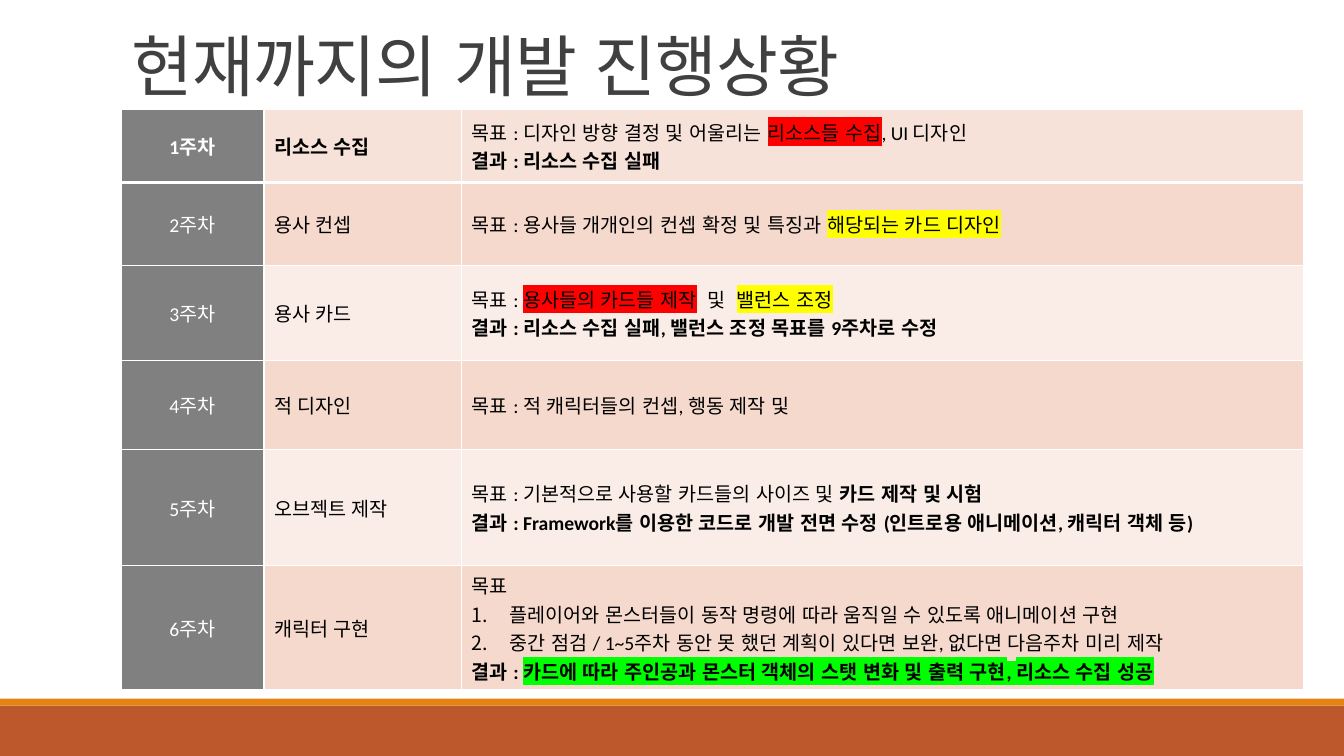
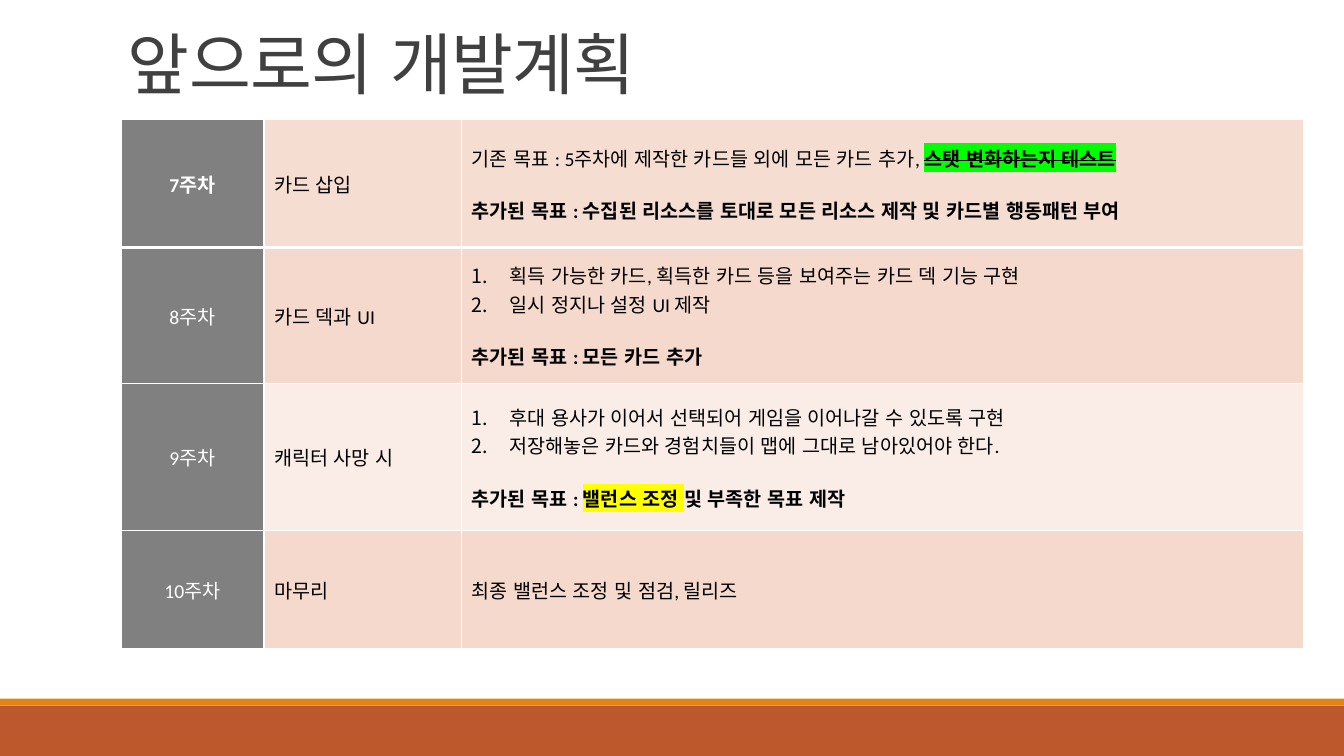
from lxml.etree import SubElement
from pptx import Presentation
from pptx.dml.color import RGBColor
from pptx.enum.lang import MSO_LANGUAGE_ID
from pptx.enum.shapes import MSO_SHAPE
from pptx.enum.text import MSO_ANCHOR, MSO_AUTO_SIZE, PP_ALIGN
from pptx.oxml.ns import qn
from pptx.util import Pt

COLORS = {
    "title": "404040", "text": "000000", "white": "FFFFFF", "week": "808080",
    "band": "BD582C", "stripe": "E48312", "dark_row": "F5D9CC", "light_row": "FAEDE7",
    "progress_top": "F7E2D9", "plan_top": "F5DDD2",
    "failed": "FF0000", "moved": "FFFF00", "done": "00FF00",
}
FONT = "Calibri"
COLUMN_WIDTHS = [102.2, 141.1, 601.3]
TABLE_LEFT = 86.4
NUMBER_INDENT = 27
PARAGRAPH_GAP = 17
BOLD = {"bold": True}
FAILED = {"highlight": "failed"}
MOVED = {"highlight": "moved"}

# Each row: height, week, topic, topic format, paragraphs.
# Each paragraph: kind ("plain", "number" or "apart"), then runs of text and format.
SLIDES = [
    {
        "title": "현재까지의 개발 진행상황", "title_at": (86.4, -36),
        "table_top": 77.8, "top_fill": "progress_top",
        "rows": [
            (52.6, "1주차", "리소스 수집", BOLD, [
                ("plain", [("목표 : 디자인 방향 결정 및 어울리는 ", {}),
                           ("리소스들 수집", FAILED), (", UI 디자인", {})]),
                ("plain", [("결과 : 리소스 수집 실패", BOLD)]),
            ]),
            (59, "2주차", "용사 컨셉", {}, [
                ("plain", [("목표 : 용사들 개개인의 컨셉 확정 및 특징과 ", {}),
                           ("해당되는 카드 디자인", MOVED)]),
            ]),
            (68.4, "3주차", "용사 카드", {}, [
                ("plain", [("목표 : ", {}), ("용사들의 카드들 제작", FAILED),
                           ("  및  ", {}), ("밸런스 조정", MOVED)]),
                ("plain", [("결과 : 리소스 수집 실패, 밸런스 조정 목표를 9주차로 수정", BOLD)]),
            ]),
            (63.4, "4주차", "적 디자인", {}, [
                ("plain", [("목표 : 적 캐릭터들의 컨셉, 행동 제작 및", {})]),
            ]),
            (82.8, "5주차", "오브젝트 제작", {}, [
                ("plain", [("목표 : 기본적으로 사용할 카드들의 사이즈 및 ", {}),
                           ("카드 제작 및 시험", BOLD)]),
                ("plain", [("결과 : Framework를 이용한 코드로 개발 전면 수정 "
                            "(인트로용 애니메이션, 캐릭터 객체 등)", BOLD)]),
            ]),
            (85.7, "6주차", "캐릭터 구현", {}, [
                ("plain", [("목표", {})]),
                ("number", [("플레이어와 몬스터들이 동작 명령에 따라 움직일 수 있도록 "
                             "애니메이션 구현", {})]),
                ("number", [("중간 점검 / 1~5주차 동안 못 했던 계획이 있다면 보완, "
                             "없다면 다음주차 미리 제작", {})]),
                ("plain", [("결과 : ", BOLD),
                           ("카드에 따라 주인공과 몬스터 객체의 스탯 변화 및 출력 구현, "
                            "리소스 수집 성공", {"bold": True, "highlight": "done"})]),
            ]),
        ],
    },
    {
        "title": "앞으로의 개발계획", "title_at": (84.2, -37.4),
        "table_top": 85.5, "top_fill": "plan_top",
        "rows": [
            (91.4, "7주차", "카드 삽입", {}, [
                ("plain", [("기존 목표 : 5주차에 제작한 카드들 외에 모든 카드 추가, ", {}),
                           ("스탯 변화하는지 테스트",
                            {"bold": True, "strike": True, "highlight": "done"})]),
                ("apart", [("추가된 목표 : 수집된 리소스를 토대로 모든 리소스 제작 및 "
                            "카드별 행동패턴 부여", BOLD)]),
            ]),
            (97.2, "8주차", "카드 덱과 UI", {}, [
                ("number", [("획득 가능한 카드, 획득한 카드 등을 보여주는 카드 덱 기능 구현", {})]),
                ("number", [("일시 정지나 설정 UI 제작", {})]),
                ("apart", [("추가된 목표 : 모든 카드 추가", BOLD)]),
            ]),
            (105.1, "9주차", "캐릭터 사망 시", {}, [
                ("number", [("후대 용사가 이어서 선택되어 게임을 이어나갈 수 있도록 구현", {})]),
                ("number", [("저장해놓은 카드와 경험치들이 맵에 그대로 남아있어야 한다.", {})]),
                ("apart", [("추가된 목표 : ", BOLD),
                           ("밸런스 조정 ", {"bold": True, "highlight": "moved"}),
                           ("및 부족한 목표 제작", BOLD)]),
            ]),
            (84.2, "10주차", "마무리", {}, [
                ("plain", [("최종 밸런스 조정 및 점검, 릴리즈", {})]),
            ]),
        ],
    },
]


def add_run(paragraph, text, size=14, color="text", bold=False, strike=False,
            highlight=None, spacing=None):
    """Add a formatted run of text to a paragraph."""
    run = paragraph.add_run()
    run.text = text
    font = run.font
    font.name, font.size, font.bold = FONT, Pt(size), bold
    font.language_id = MSO_LANGUAGE_ID.KOREAN
    font.color.rgb = RGBColor.from_string(COLORS[color])
    properties = run._r.get_or_add_rPr()
    if strike:
        properties.set("strike", "sngStrike")
    if spacing is not None:
        properties.set("spc", str(int(spacing * 100)))
    if highlight:
        marker = SubElement(properties, qn("a:highlight"))
        SubElement(marker, qn("a:srgbClr"), val=COLORS[highlight])
        properties.find(qn("a:solidFill")).addnext(marker)


def style_cell(cell, fill, top=1, bottom=1):
    """Give a cell its fill, white borders and middle anchor."""
    cell.vertical_anchor = MSO_ANCHOR.MIDDLE
    properties = cell._tc.get_or_add_tcPr()
    for side, width in (("L", 1), ("R", 1), ("T", top), ("B", bottom)):
        border = SubElement(properties, qn(f"a:ln{side}"), w=str(Pt(width)))
        border_fill = SubElement(border, qn("a:solidFill"))
        SubElement(border_fill, qn("a:srgbClr"), val=COLORS["white"])
    cell.fill.solid()
    cell.fill.fore_color.rgb = RGBColor.from_string(COLORS[fill])


presentation = Presentation()
presentation.slide_width, presentation.slide_height = Pt(960), Pt(540)
layout = presentation.slide_layouts[5]
slides = [presentation.slides.add_slide(layout) for _ in SLIDES]

# The bottom bands belong to the layout, so every slide inherits them.
for color, top, height in (("band", 504, 36), ("stripe", 499, 5)):
    band = slides[0].shapes.add_shape(MSO_SHAPE.RECTANGLE, Pt(0), Pt(top), Pt(960), Pt(height))
    band.shadow.inherit = False
    band.fill.solid()
    band.fill.fore_color.rgb = RGBColor.from_string(COLORS[color])
    band.line.fill.background()
    layout.shapes.element.append(band.element)

for slide, content in zip(slides, SLIDES):
    title = slide.shapes.title
    title.left, title.top = [Pt(value) for value in content["title_at"]]
    title.width, title.height = Pt(792), Pt(114.5)
    title.text_frame.vertical_anchor = MSO_ANCHOR.BOTTOM
    title.text_frame.auto_size = MSO_AUTO_SIZE.NONE
    title.text_frame.word_wrap = True
    paragraph = title.text_frame.paragraphs[0]
    paragraph.alignment = PP_ALIGN.LEFT
    paragraph.line_spacing = 0.85
    add_run(paragraph, content["title"], size=48, color="title", spacing=-0.5)

    rows = content["rows"]
    table = slide.shapes.add_table(
        len(rows), len(COLUMN_WIDTHS), Pt(TABLE_LEFT), Pt(content["table_top"]),
        Pt(sum(COLUMN_WIDTHS)), Pt(sum(row[0] for row in rows))).table
    for column, width in zip(table.columns, COLUMN_WIDTHS):
        column.width = Pt(width)

    for index, (height, week, topic, topic_format, paragraphs) in enumerate(rows):
        table.rows[index].height = Pt(height)
        row_fill = "dark_row" if index % 2 else "light_row"
        if index == 0:
            row_fill = content["top_fill"]
        week_cell, topic_cell, goal_cell = table.rows[index].cells
        for cell, fill in ((week_cell, "week"), (topic_cell, row_fill), (goal_cell, row_fill)):
            style_cell(cell, fill, top=3 if index == 1 else 1, bottom=3 if index == 0 else 1)

        paragraph = week_cell.text_frame.paragraphs[0]
        paragraph.alignment = PP_ALIGN.CENTER
        add_run(paragraph, week, color="white", bold=index == 0)
        add_run(topic_cell.text_frame.paragraphs[0], topic, **topic_format)

        frame = goal_cell.text_frame
        for position, (kind, runs) in enumerate(paragraphs):
            paragraph = frame.add_paragraph() if position else frame.paragraphs[0]
            if kind == "apart":
                paragraph.space_before = Pt(PARAGRAPH_GAP)
            if kind == "number":
                properties = paragraph._p.get_or_add_pPr()
                properties.set("marL", str(Pt(NUMBER_INDENT)))
                properties.set("indent", str(-Pt(NUMBER_INDENT)))
                SubElement(properties, qn("a:buFont"), typeface=FONT)
                SubElement(properties, qn("a:buAutoNum"), type="arabicPeriod")
            for text, text_format in runs:
                add_run(paragraph, text, **text_format)

presentation.save("out.pptx")
